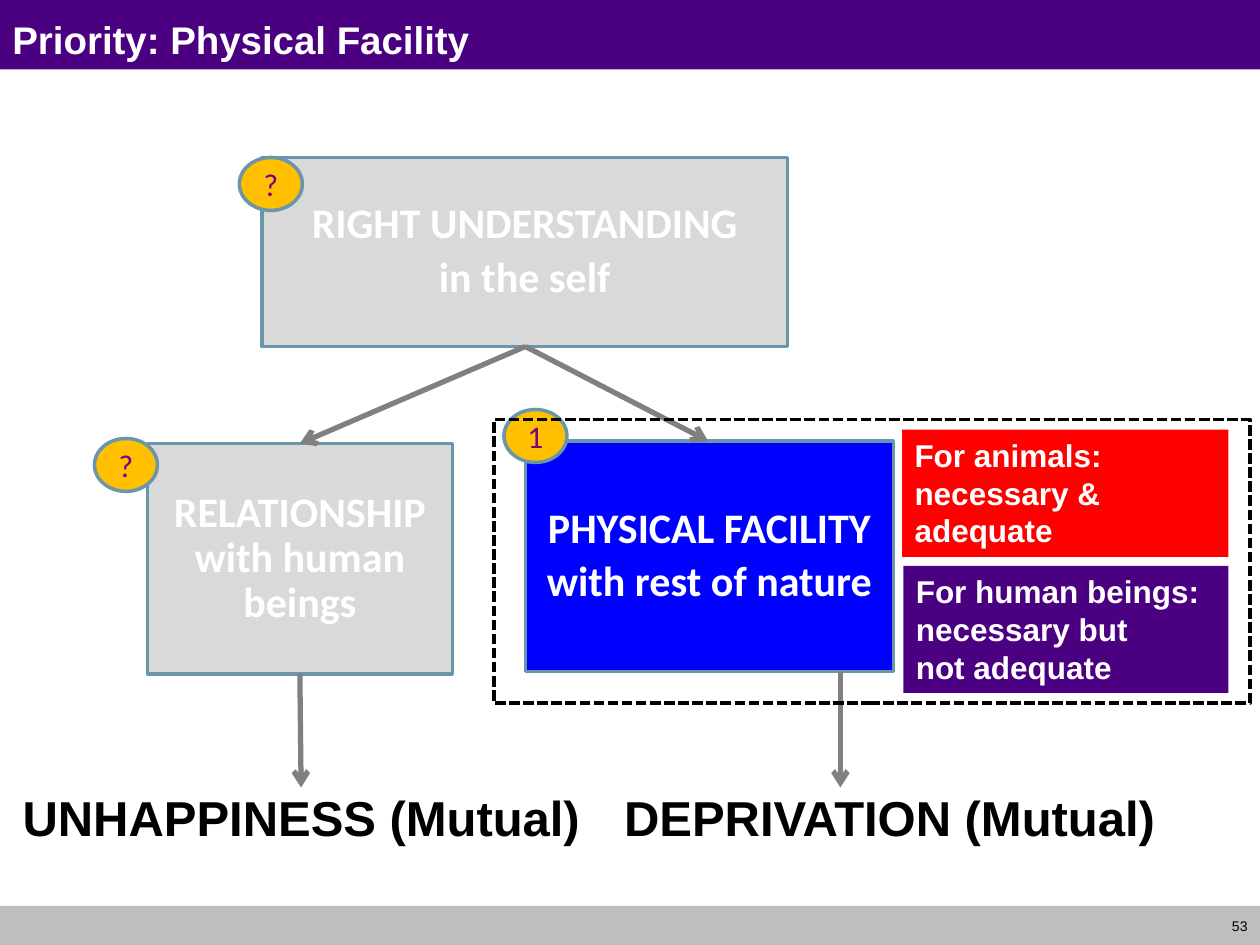
from dataclasses import dataclass

from lxml import etree
from pptx import Presentation
from pptx.dml.color import RGBColor
from pptx.enum.dml import MSO_LINE
from pptx.enum.shapes import MSO_CONNECTOR, MSO_SHAPE
from pptx.enum.text import MSO_ANCHOR, PP_ALIGN
from pptx.oxml.ns import qn
from pptx.shapes.autoshape import Shape
from pptx.slide import Slide
from pptx.util import Inches, Pt

RECTANGLE, OVAL = MSO_SHAPE.RECTANGLE, MSO_SHAPE.OVAL
STRAIGHT, DASH = MSO_CONNECTOR.STRAIGHT, MSO_LINE.SQUARE_DOT
TOP, MIDDLE = MSO_ANCHOR.TOP, MSO_ANCHOR.MIDDLE
LEFT, CENTER, RIGHT = PP_ALIGN.LEFT, PP_ALIGN.CENTER, PP_ALIGN.RIGHT

WHITE = RGBColor(0xFF, 0xFF, 0xFF)
BLACK = RGBColor(0x00, 0x00, 0x00)
INDIGO = RGBColor(0x4B, 0x00, 0x82)
PURPLE = RGBColor(0x80, 0x00, 0x80)
BLUE = RGBColor(0x00, 0x00, 0xFF)
RED = RGBColor(0xFF, 0x00, 0x00)
AMBER = RGBColor(0xFF, 0xC0, 0x00)
STEEL = RGBColor(0x6A, 0x95, 0xAB)
FOOTER_GRAY = RGBColor(0xBE, 0xBE, 0xBE)
PALE_GRAY = RGBColor(0xD9, 0xD9, 0xD9)
ARROW_GRAY = RGBColor(0x80, 0x80, 0x80)


@dataclass(frozen=True)
class Box:
    left: float
    top: float
    width: float
    height: float

    def lengths(self) -> tuple[int, int, int, int]:
        return (Inches(self.left), Inches(self.top),
                Inches(self.width), Inches(self.height))


@dataclass(frozen=True)
class TextStyle:
    size: float
    color: RGBColor
    font: str = "Arial"
    bold: bool = True
    align: PP_ALIGN = LEFT
    anchor: MSO_ANCHOR = TOP
    spaced: bool = False
    wrap: bool = True


@dataclass(frozen=True)
class Block:
    box: Box
    fill: RGBColor
    text: str


@dataclass(frozen=True)
class Arrow:
    start: tuple[float, float]
    end: tuple[float, float]


TITLE = TextStyle(22, WHITE)
PAGE_NUMBER = TextStyle(8, BLACK, bold=False, align=RIGHT, anchor=MIDDLE)
CONCEPT = TextStyle(24, WHITE, "Calibri", align=CENTER, anchor=MIDDLE, spaced=True)
BADGE = TextStyle(18, PURPLE, "Calibri", bold=False, align=CENTER, anchor=MIDDLE)
NOTE = TextStyle(18, WHITE)
OUTCOME = TextStyle(28, BLACK, align=CENTER, spaced=True, wrap=False)

CONCEPTS = [
    Block(Box(1.17, 3.52, 2.42, 1.83), PALE_GRAY, "RELATIONSHIP with human beings"),
    Block(Box(4.17, 3.5, 2.92, 1.83), BLUE, "PHYSICAL FACILITY\nwith rest of nature"),
    Block(Box(2.08, 1.25, 4.17, 1.5), PALE_GRAY, "RIGHT UNDERSTANDING\nin the self"),
]
BRANCHES = [Arrow((4.17, 2.75), (2.38, 3.52)), Arrow((4.17, 2.75), (5.62, 3.5))]
BADGES = [
    Block(Box(left, top, 0.5, 0.42), AMBER, text)
    for left, top, text in [(4, 3.25, "1"), (0.75, 3.48, "?"), (1.9, 1.25, "?")]
]
NOTES = [
    Block(Box(7.17, 4.49, 2.58, 1.01), INDIGO,
          "For human beings:\nnecessary but\nnot adequate"),
    Block(Box(7.16, 3.41, 2.59, 1.01), RED, "For animals: necessary & adequate"),
]
RESULTS = [Arrow((2.38, 5.35), (2.39, 6.25)), Arrow((6.67, 5.33), (6.67, 6.25))]
OUTCOMES = [
    (Box(0.05, 6.25, 4.68, 0.53), "UNHAPPINESS (Mutual)"),
    (Box(4.83, 6.25, 4.46, 0.53), "DEPRIVATION (Mutual)"),
]


def write_text(shape: Shape, text: str, style: TextStyle) -> None:
    frame = shape.text_frame
    frame.text = text
    frame.word_wrap = style.wrap
    frame.vertical_anchor = style.anchor
    for paragraph in frame.paragraphs:
        paragraph.alignment = style.align
        if style.spaced:
            paragraph.line_spacing = 0.9
            paragraph.space_before = Pt(style.size * 0.2)
        for run in paragraph.runs:
            run.font.name = style.font
            run.font.size = Pt(style.size)
            run.font.bold = style.bold
            run.font.color.rgb = style.color


def add_figure(slide: Slide, kind: MSO_SHAPE, box: Box, fill: RGBColor | None = None,
               outline: RGBColor | None = None) -> Shape:
    shape = slide.shapes.add_shape(kind, *box.lengths())
    shape.shadow.inherit = False
    if fill is None:
        shape.fill.background()
    else:
        shape.fill.solid()
        shape.fill.fore_color.rgb = fill
    if outline is None:
        shape.line.fill.background()
    else:
        shape.line.color.rgb = outline
        shape.line.width = Pt(2)
    return shape


def add_block(slide: Slide, kind: MSO_SHAPE, block: Block, style: TextStyle,
              outline: RGBColor | None = None) -> None:
    shape = add_figure(slide, kind, block.box, block.fill, outline)
    write_text(shape, block.text, style)


def add_label(slide: Slide, box: Box, text: str, style: TextStyle) -> None:
    write_text(slide.shapes.add_textbox(*box.lengths()), text, style)


def add_arrow(slide: Slide, arrow: Arrow) -> None:
    points = [Inches(value) for value in (*arrow.start, *arrow.end)]
    connector = slide.shapes.add_connector(STRAIGHT, *points)
    connector.line.color.rgb = ARROW_GRAY
    connector.line.width = Pt(3)
    properties = connector.element.spPr
    etree.SubElement(properties.find(qn("a:ln")), qn("a:tailEnd"), type="arrow")
    etree.SubElement(properties, qn("a:effectLst"))


def main() -> None:
    presentation = Presentation()
    presentation.slide_width = Inches(10)
    presentation.slide_height = Inches(7.5)
    slide = presentation.slides.add_slide(presentation.slide_layouts[6])

    add_figure(slide, RECTANGLE, Box(0, 0, 10, 0.55), INDIGO)
    add_figure(slide, RECTANGLE, Box(0, 7.19, 10, 0.31), FOOTER_GRAY)
    add_label(slide, Box(9.53, 7.19, 0.47, 0.32), "53", PAGE_NUMBER)

    for concept in CONCEPTS:
        add_block(slide, RECTANGLE, concept, CONCEPT, STEEL)
    for branch in BRANCHES:
        add_arrow(slide, branch)
    for badge in BADGES:
        add_block(slide, OVAL, badge, BADGE, STEEL)

    add_label(slide, Box(0, 0.08, 10, 0.42), "Priority: Physical Facility", TITLE)
    for note in NOTES:
        add_block(slide, RECTANGLE, note, NOTE)
    for result, (box, text) in zip(RESULTS, OUTCOMES):
        add_arrow(slide, result)
        add_label(slide, box, text, OUTCOME)

    focus_frame = add_figure(slide, RECTANGLE, Box(3.92, 3.33, 6, 2.25), outline=BLACK)
    focus_frame.line.dash_style = DASH

    presentation.save("out.pptx")


if __name__ == "__main__":
    main()
